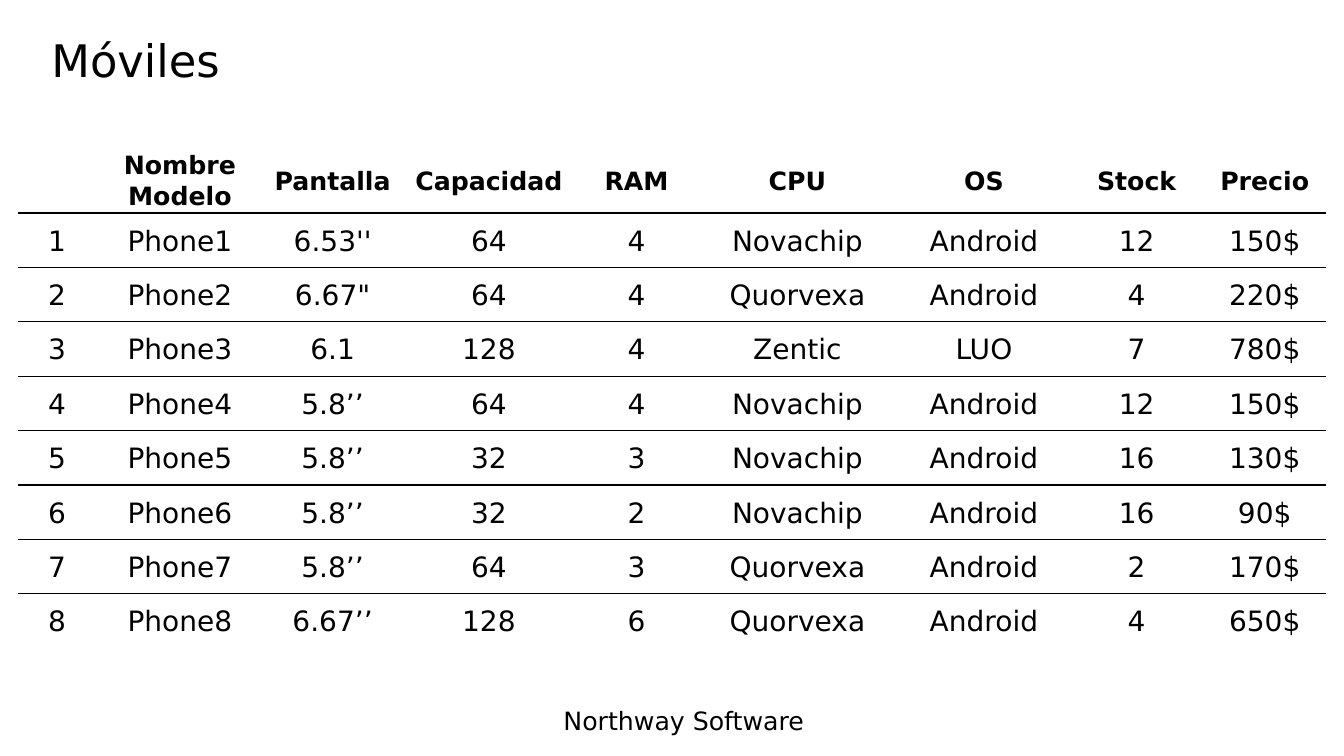
"""Build the slide listing the phones in stock."""
from dataclasses import dataclass

from lxml import etree
from pptx import Presentation
from pptx.dml.color import RGBColor
from pptx.enum.text import MSO_ANCHOR, MSO_AUTO_SIZE, PP_ALIGN
from pptx.oxml.ns import qn
from pptx.util import Emu, Pt

MIDDLE = MSO_ANCHOR.MIDDLE
NO_AUTOFIT = MSO_AUTO_SIZE.NONE
LEFT, CENTER = PP_ALIGN.LEFT, PP_ALIGN.CENTER
EMU_PER_PX = 9144
FONT = "DejaVu Sans"
BLACK = "000000"
TITLE_ONLY = 5
ROW_HEIGHT = 54


@dataclass
class Column:
    heading: str
    width: int
    space_after: int = 0


COLUMNS = [
    Column("", 77),
    Column("Nombre Modelo", 167),
    Column("Pantalla", 136),
    Column("Capacidad", 174),
    Column("RAM", 119),
    Column("CPU", 200),
    Column("OS", 170),
    Column("Stock", 133),
    Column("Precio", 121, space_after=8),
]

PHONES = [
    ("6.53''", "64", "4", "Novachip", "Android", "12", "150$"),
    ("6.67\"", "64", "4", "Quorvexa", "Android", "4", "220$"),
    ("6.1", "128", "4", "Zentic", "LUO", "7", "780$"),
    ("5.8’’", "64", "4", "Novachip", "Android", "12", "150$"),
    ("5.8’’", "32", "3", "Novachip", "Android", "16", "130$"),
    ("5.8’’", "32", "2", "Novachip", "Android", "16", "90$"),
    ("5.8’’", "64", "3", "Quorvexa", "Android", "2", "170$"),
    ("6.67’’", "128", "6", "Quorvexa", "Android", "4", "650$"),
]


def px(length: int) -> Emu:
    """Turn a length in px into EMU."""
    return Emu(length * EMU_PER_PX)


def color(value: str) -> RGBColor:
    """Turn a hex string into a colour."""
    return RGBColor.from_string(value)


def place(shape, left: int, top: int, width: int, height: int) -> None:
    """Move and size a shape, in px."""
    shape.left, shape.top = px(left), px(top)
    shape.width, shape.height = px(width), px(height)


def write(frame, text: str, size: int, align=LEFT, spacing: float = 1.0, bold: bool = False):
    """Put one formatted paragraph in a text frame and return it."""
    frame.text = text
    para = frame.paragraphs[0]
    para.alignment = align
    para.line_spacing = spacing
    for span in para.runs:
        span.font.name = FONT
        span.font.size = Pt(size)
        span.font.bold = bold
        span.font.color.rgb = color(BLACK)
    return para


def rule_cell(cell, ruled_sides: set[str]) -> None:
    """Draw the ruled sides of a cell and clear its other sides."""
    properties = cell._tc.get_or_add_tcPr()
    for side in ("lnL", "lnR", "lnT", "lnB"):
        line = etree.SubElement(properties, qn(f"a:{side}"), w=str(Pt(1)))
        if side in ruled_sides:
            fill = etree.SubElement(line, qn("a:solidFill"))
            etree.SubElement(fill, qn("a:srgbClr"), val=BLACK)
        else:
            etree.SubElement(line, qn("a:noFill"))


def add_phone_table(page) -> None:
    """Add the table with a rule between each pair of rows."""
    rows = [tuple(column.heading for column in COLUMNS)]
    rows += [(str(number), f"Phone{number}", *phone) for number, phone in enumerate(PHONES, 1)]
    width = sum(column.width for column in COLUMNS)
    frame = page.shapes.add_table(
        len(rows), len(COLUMNS), px(18), px(147), px(width), px(ROW_HEIGHT * len(rows)))
    table = frame.table
    table.first_row = table.horz_banding = False
    for index, column in enumerate(COLUMNS):
        table.columns[index].width = px(column.width)
    for row_index, values in enumerate(rows):
        table.rows[row_index].height = px(ROW_HEIGHT)
        is_header = row_index == 0
        ruled_sides = set() if is_header else {"lnT"}
        if row_index < len(rows) - 1:
            ruled_sides.add("lnB")
        for column_index, (column, value) in enumerate(zip(COLUMNS, values)):
            cell = table.cell(row_index, column_index)
            cell.margin_left = cell.margin_right = cell.margin_top = cell.margin_bottom = 0
            cell.vertical_anchor = MIDDLE
            rule_cell(cell, ruled_sides)
            cell.fill.background()
            para = write(cell.text_frame, value, 18 if is_header else 20, CENTER, 1.07, is_header)
            if column.space_after:
                para.space_after = Pt(column.space_after)


def main() -> None:
    """Build and save the deck."""
    deck = Presentation()
    deck.slide_width, deck.slide_height = px(1333), px(750)
    page = deck.slides.add_slide(deck.slide_layouts[TITLE_ONLY])

    footer = page.shapes.add_textbox(px(549), px(695), px(290), px(40))
    footer.text_frame.word_wrap = True
    write(footer.text_frame, "Northway Software", 18)

    title = page.shapes.title
    place(title, 41, 15, 1201, 95)
    title.text_frame.vertical_anchor = MIDDLE
    title.text_frame.auto_size = NO_AUTOFIT
    write(title.text_frame, "Móviles", 32, spacing=0.9)

    add_phone_table(page)
    deck.save("out.pptx")


if __name__ == "__main__":
    main()
